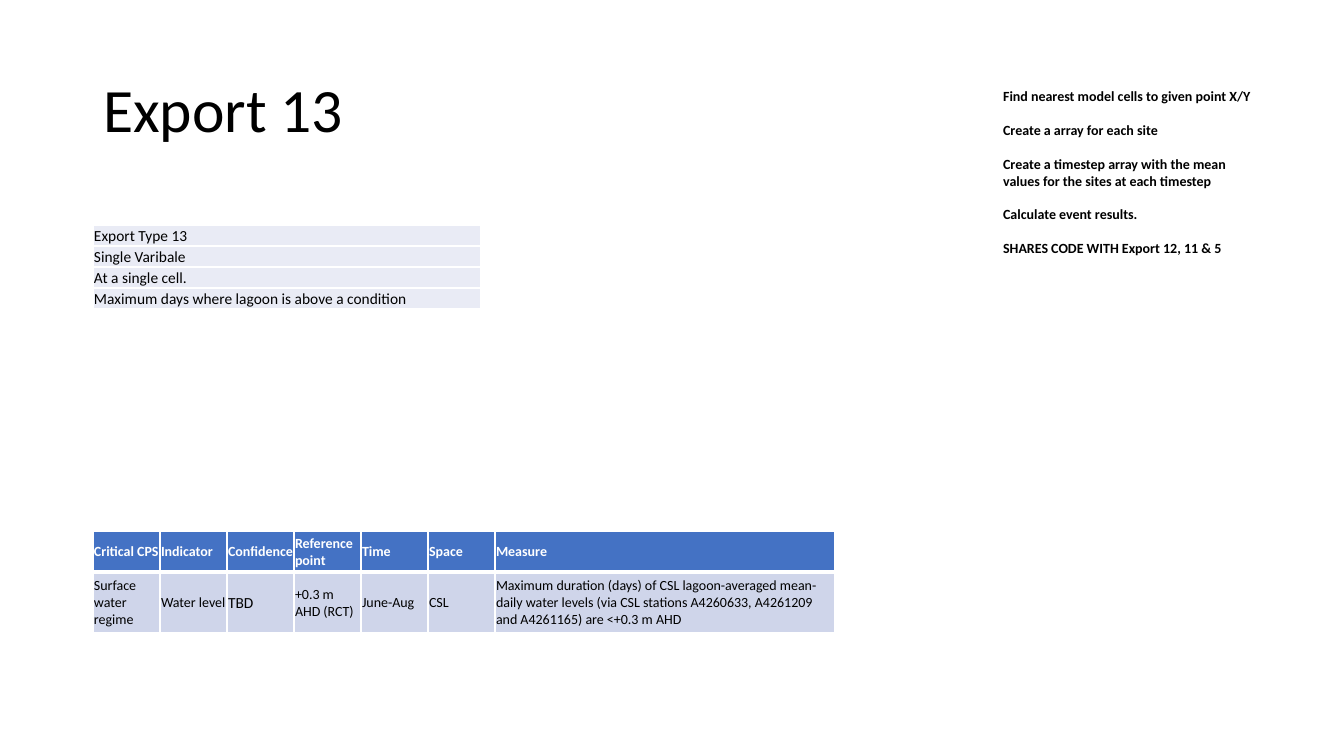
from lxml.etree import SubElement
from pptx import Presentation
from pptx.dml.color import RGBColor
from pptx.enum.text import MSO_ANCHOR as Anchor, MSO_AUTO_SIZE as AutoSize, PP_ALIGN as Align
from pptx.oxml.ns import qn
from pptx.util import Emu, Inches, Pt

# Content
TITLE = "Export 13"
SUMMARY = [
    ["Export Type 13"],
    ["Single Varibale"],
    ["At a single cell."],
    ["Maximum days where lagoon is above a condition"],
]
MEASURES = [
    ["Critical CPS", "Indicator", "Confidence", "Reference point", "Time", "Space", "Measure"],
    ["Surface water regime", "Water level", "TBD", "+0.3 m AHD (RCT)", "June-Aug", "CSL",
     "Maximum duration (days) of CSL lagoon-averaged mean-daily water levels "
     "(via CSL stations A4260633, A4261209 and A4261165) are <+0.3 m AHD"],
]
STEPS = [
    "Find nearest model cells to given point X/Y",
    "Create a array for each site",
    "Create a timestep array with the mean values for the sites at each timestep",
    "Calculate event results.",
    "SHARES CODE WITH Export 12, 11 & 5",
]
COLORS = {"text": "000000", "white": "FFFFFF", "header": "4472C4",
          "body": "CFD5EA", "summary": "E9EBF5"}
FONT = "Calibri"
LEFT = 93  # shared left edge of the title and both tables


def px(value):
    return Emu(round(value * 914400 / 100.8))


def format_text(paragraph, size, color="text", bold=False):
    for run in paragraph.runs:
        run.font.name = FONT
        run.font.size = Pt(size)
        run.font.bold = bold
        run.font.color.rgb = RGBColor.from_string(COLORS[color])


def set_borders(cell, widths):
    """Draw white borders; widths are points for left, right, top, bottom."""
    properties = cell._tc.get_or_add_tcPr()
    for side, width in zip("LRTB", widths):
        line = SubElement(properties, qn(f"a:ln{side}"), w=str(Pt(width)))
        fill = SubElement(line, qn("a:solidFill"))
        SubElement(fill, qn("a:srgbClr"), val=COLORS["white"])


def format_cell(cell, text, fill, anchor, size, color="text", bold=False, borders=(1, 1, 1, 1)):
    set_borders(cell, borders)
    cell.fill.solid()
    cell.fill.fore_color.rgb = RGBColor.from_string(COLORS[fill])
    cell.margin_left = cell.margin_right = cell.margin_top = Inches(0.01)
    cell.margin_bottom = 0
    cell.vertical_anchor = anchor
    cell.text_frame.text = text
    format_text(cell.text_frame.paragraphs[0], size, color, bold)


def add_grid(slide, top, widths, heights):
    table = slide.shapes.add_table(len(heights), len(widths), px(LEFT), px(top),
                                   px(sum(widths)), px(sum(heights))).table
    table.first_row = table.horz_banding = False
    for column, width in zip(table.columns, widths):
        column.width = px(width)
    for row, height in zip(table.rows, heights):
        row.height = px(height)
    return table


presentation = Presentation()
presentation.slide_width, presentation.slide_height = Inches(13.33), Inches(7.5)
slide = presentation.slides.add_slide(presentation.slide_layouts[5])

# Title
title = slide.shapes.title
title.left, title.top, title.width, title.height = px(LEFT), px(40), px(1159), px(146)
title.text_frame.text = TITLE
title.text_frame.auto_size = AutoSize.NONE
title.text_frame.vertical_anchor = Anchor.MIDDLE
heading = title.text_frame.paragraphs[0]
heading.alignment = Align.LEFT
heading.line_spacing = 0.9
format_text(heading, 44)

# Measures table: a thick rule separates header and body
measures = add_grid(slide, 531, [67] * 6 + [339], [41, 61])
for column, (header, value) in enumerate(zip(*MEASURES)):
    format_cell(measures.cell(0, column), header, "header", Anchor.MIDDLE, 10,
                "white", True, (1, 1, 1, 3))
    format_cell(measures.cell(1, column), value, "body", Anchor.MIDDLE,
                11 if value == "TBD" else 10, borders=(1, 1, 3, 1))

# Summary table
summary = add_grid(slide, 225, [388], [21] * len(SUMMARY))
for row, (text,) in enumerate(SUMMARY):
    format_cell(summary.cell(row, 0), text, "summary", Anchor.BOTTOM, 11)

# Processing steps
steps = slide.shapes.add_textbox(px(993), px(83), px(269), px(231)).text_frame
steps.word_wrap = True
steps.text = "\n".join(STEPS)
for paragraph in steps.paragraphs:
    paragraph.space_after = Pt(12)
    format_text(paragraph, 10, bold=True)

presentation.save("out.pptx")
